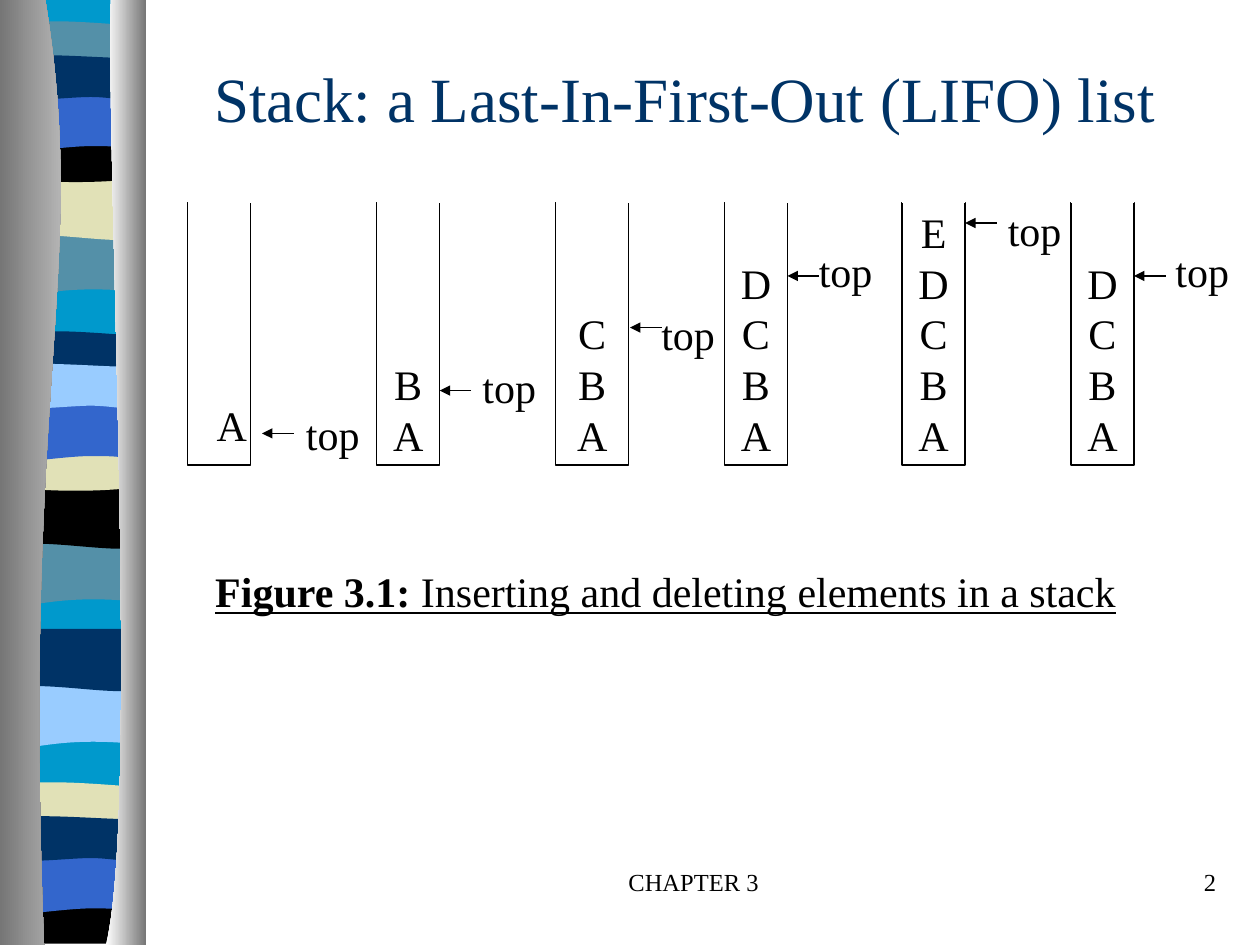
from dataclasses import dataclass

from lxml.etree import SubElement
from pptx import Presentation
from pptx.dml.color import RGBColor
from pptx.enum.shapes import MSO_CONNECTOR as Connector, MSO_SHAPE as Shape
from pptx.enum.text import MSO_ANCHOR as Anchor, MSO_AUTO_SIZE as AutoSize, PP_ALIGN as Align
from pptx.oxml.ns import qn
from pptx.util import Inches, Pt


@dataclass(frozen=True)
class Theme:
    font: str = "Times New Roman"
    navy: str = "003366"
    black: str = "000000"
    white: str = "FFFFFF"
    blue: str = "3366CC"
    cyan: str = "0099CC"
    sky: str = "99CCFF"
    teal: str = "5490A8"
    sand: str = "E1E1B7"
    silver: str = "D2D2D2"
    grey: str = "767676"
    title: int = 36
    body: int = 24
    footer: int = 14
    body_spacing: int = 29
    line: float = 0.75


THEME = Theme()

# Band outlines, from the upper right corner: a pair is a corner,
# three pairs are the controls and the end of a curve.
WAVES = {
    "dip": [(1.08, 0), (1.08, 0.47), ((0.33, 0.39), (0.18, 0.55), (0, 0.47)), (0, 0)],
    "swell": [(1.08, 0), (1.08, 0.47), ((0.9, 0.55), (0.33, 0.41), (0, 0.47)), (0, 0)],
    "slim": [(1.08, 0.05), (1.08, 0.29), ((0.9, 0.33), (0.18, 0.33), (0, 0.29)), (0, 0.05),
             ((0.06, 0), (0.23, 0.01), (0.41, 0.01)), ((0.59, 0.01), (0.94, 0.04), (1.08, 0.05))],
    "bowl": [(1.08, 0), (1.08, 0.32), ((0.9, 0.38), (0.18, 0.38), (0, 0.32)), (0, 0),
             ((0.66, 0.05), (0.85, 0), (1.08, 0))],
    "base": [(1.08, 0), (1.08, 0.37), (0, 0.37), (0, 0), ((0.66, 0.05), (0.85, 0), (1.08, 0))],
    "arch": [(1.08, 0), (1.08, 0.47), ((0.91, 0.42), (0.84, 0.42), (0.66, 0.42)),
             ((0.48, 0.42), (0.16, 0.47), (0, 0.47)), (0, 0)],
    "ripple": [(1.08, 0.05), (1.08, 0.36), ((1.01, 0.41), (0.84, 0.36), (0.66, 0.36)),
               ((0.48, 0.36), (0.11, 0.41), (0, 0.36)), (0, 0.05),
               ((0.15, 0), (0.73, 0.05), (0.91, 0.05)), ((1.09, 0.05), (1.05, 0.05), (1.08, 0.05))],
}
# Wave, top, colour; later bands cover earlier ones
BANDS = [
    ("dip", 1.85, THEME.teal), ("swell", 1.41, THEME.sand), ("slim", 0.16, THEME.teal),
    ("bowl", 1.08, THEME.black), ("arch", 0.74, THEME.blue), ("ripple", 0.41, THEME.navy),
    ("dip", 4.31, THEME.teal), ("swell", 3.86, THEME.black), ("slim", 2.62, THEME.navy),
    ("bowl", 3.53, THEME.sand), ("arch", 3.2, THEME.blue), ("ripple", 2.86, THEME.sky),
    ("dip", 5.44, THEME.sky), ("swell", 4.99, THEME.navy), ("slim", 6.2, THEME.sand),
    ("base", 7.12, THEME.black), ("arch", 6.79, THEME.blue), ("ripple", 6.45, THEME.navy),
]
LEFT_EDGE = [(0.36, 0), ((0.71, 2.16), (0.17, 2.96), (0.35, 7.5)), (0, 7.5), (0, 0)]
RIGHT_EDGE = [(0.88, 0), ((0.84, 1.25), (1.11, 6.46), (0.84, 7.5)), (1.16, 7.5), (1.16, 0)]

# Stack left, width, contents from the top; arrow start and height; label place
STACKS = [
    (1.49, 0.5, "", 2.08, 3.44, 2.33, 3.19),
    (2.99, 0.5, "BA", 3.49, 3.1, 3.73, 2.82),
    (4.41, 0.58, "CBA", 5, 2.6, 5.15, 2.4),
    (5.75, 0.5, "DCBA", 6.25, 2.19, 6.4, 1.9),
    (7.16, 0.5, "EDCBA", 7.66, 1.77, 7.9, 1.57),
    (8.5, 0.5, "DCBA", 9, 2.19, 9.23, 1.9),
]
STACK_TOP, STACK_HEIGHT, ARROW_LENGTH = 1.61, 2.08, 0.25


def color(value):
    return RGBColor.from_string(value)


def apply(target, values):
    for name, value in values.items():
        setattr(target, name, value)


def write(frame, lines, size=THEME.body, ink=THEME.black, spacing=None, align=Align.LEFT, **frame_format):
    """Fill a text frame; each line is a list of (text, font format) pairs."""
    apply(frame, {"word_wrap": True, "auto_size": AutoSize.NONE, **frame_format})
    for index, line in enumerate(lines):
        para = frame.paragraphs[0] if index == 0 else frame.add_paragraph()
        apply(para, {"alignment": align, "line_spacing": spacing})
        for text, font_format in line:
            span = para.add_run()
            span.text = text
            apply(span.font, {"name": THEME.font, "size": Pt(size), **font_format})
            span.font.color.rgb = color(ink)


def add_text(page, place, lines, **options):
    box = page.shapes.add_textbox(*map(Inches, place))
    write(box.text_frame, lines, **options)


def add_body(page, place, lines, **options):
    add_text(page, place, lines, spacing=Pt(THEME.body_spacing), **options)


def add_line(page, start, end, ink, arrow=False):
    line = page.shapes.add_connector(Connector.STRAIGHT, *map(Inches, (*start, *end)))
    line.line.color.rgb = color(ink)
    line.line.width = Pt(THEME.line)
    if arrow:
        SubElement(line.line._get_or_add_ln(), qn("a:tailEnd"), type="triangle")
    SubElement(line._element.spPr, qn("a:effectLst"))


def bend(shape, parts):
    """Join the three segments of each curved part into one Bezier curve."""
    segments = iter(list(shape._element.iter(qn("a:lnTo"))))
    for part in parts:
        segment = next(segments)
        if isinstance(part[0], tuple):
            segment.tag = qn("a:cubicBezTo")
            for _ in range(2):
                extra = next(segments)
                segment.append(extra[0])
                extra.getparent().remove(extra)


def add_outline(page, outline, fills, left=0.0, top=0.0):
    """Draw a closed outline with one colour, or with a gradient of two."""
    start, *parts = outline
    corners = [start]
    for part in parts:
        corners.extend(part if isinstance(part[0], tuple) else [part])
    points = [(Inches(left + x), Inches(top + y)) for x, y in corners]
    builder = page.shapes.build_freeform(*points[0], scale=1.0)
    builder.add_line_segments(points[1:], close=True)
    shape = builder.convert_to_shape()
    bend(shape, parts)
    shape.shadow.inherit = False
    shape.line.fill.background()
    if len(fills) == 1:
        shape.fill.solid()
        shape.fill.fore_color.rgb = color(fills[0])
        return
    shape.fill.gradient()
    shape.fill.gradient_angle = 0
    for position, (stop, value) in enumerate(zip(shape.fill.gradient_stops, fills)):
        stop.position = position
        stop.color.rgb = color(value)


def add_ribbon(page):
    add_outline(page, [(1.08, 0), (1.08, 7.47), (0, 7.47), (0, 0)], [THEME.cyan], left=0.06)
    for wave, top, ink in BANDS:
        add_outline(page, WAVES[wave], [ink], 0.06, top)
    add_outline(page, LEFT_EDGE, [THEME.grey, THEME.silver])
    add_outline(page, RIGHT_EDGE, [THEME.white, THEME.grey])


def add_stack(page, left, width, items, arrow_left, arrow_y, label_left, label_top):
    stack = page.shapes.add_shape(Shape.RECTANGLE, *map(Inches, (left, STACK_TOP, width, STACK_HEIGHT)))
    stack.shadow.inherit = False
    stack.fill.background()
    stack.line.color.rgb = color(THEME.black)
    stack.line.width = Pt(THEME.line)
    if items:
        write(stack.text_frame, [[(item, {})] for item in items], align=Align.CENTER,
              spacing=Pt(THEME.body_spacing), word_wrap=False,
              vertical_anchor=Anchor.BOTTOM, margin_bottom=Inches(0.04))
    # Open top, then the pointer to the top element
    add_line(page, (left, STACK_TOP), (left + width, STACK_TOP), THEME.white)
    add_line(page, (arrow_left + ARROW_LENGTH, arrow_y), (arrow_left, arrow_y), THEME.black, arrow=True)
    add_body(page, (label_left, label_top, 0.62, 0.5), [[("top", {})]], word_wrap=False)


def main():
    deck = Presentation()
    apply(deck, {"slide_width": Inches(10), "slide_height": Inches(7.5)})
    page = deck.slides.add_slide(deck.slide_layouts[5])
    add_ribbon(page)

    # Title
    title = page.shapes.title
    apply(title, dict(zip(("left", "top", "width", "height"), map(Inches, (1.6, 0.42, 7.79, 0.7)))))
    write(title.text_frame, [[("Stack: a Last-In-First-Out (LIFO) list", {})]],
          size=THEME.title, ink=THEME.navy, vertical_anchor=Anchor.MIDDLE)

    # Stacks; the first element stands free in the first stack
    for stack in STACKS:
        add_stack(page, *stack)
    add_body(page, (1.62, 3.12, 0.45, 0.5), [[("A", {})]], word_wrap=False)

    # Caption and footer
    add_body(page, (1.61, 4.44, 7.35, 0.5), [[
        ("Figure 3.1: ", {"bold": True, "underline": True}),
        ("Inserting and deleting elements in a stack", {"underline": True}),
    ]])
    add_text(page, (3.92, 6.83, 3.17, 0.5), [[("CHAPTER 3", {})]], size=THEME.footer, align=Align.CENTER)
    add_text(page, (7.67, 6.83, 2.08, 0.5), [[("2", {})]], size=THEME.footer, align=Align.RIGHT)
    deck.save("out.pptx")


if __name__ == "__main__":
    main()
